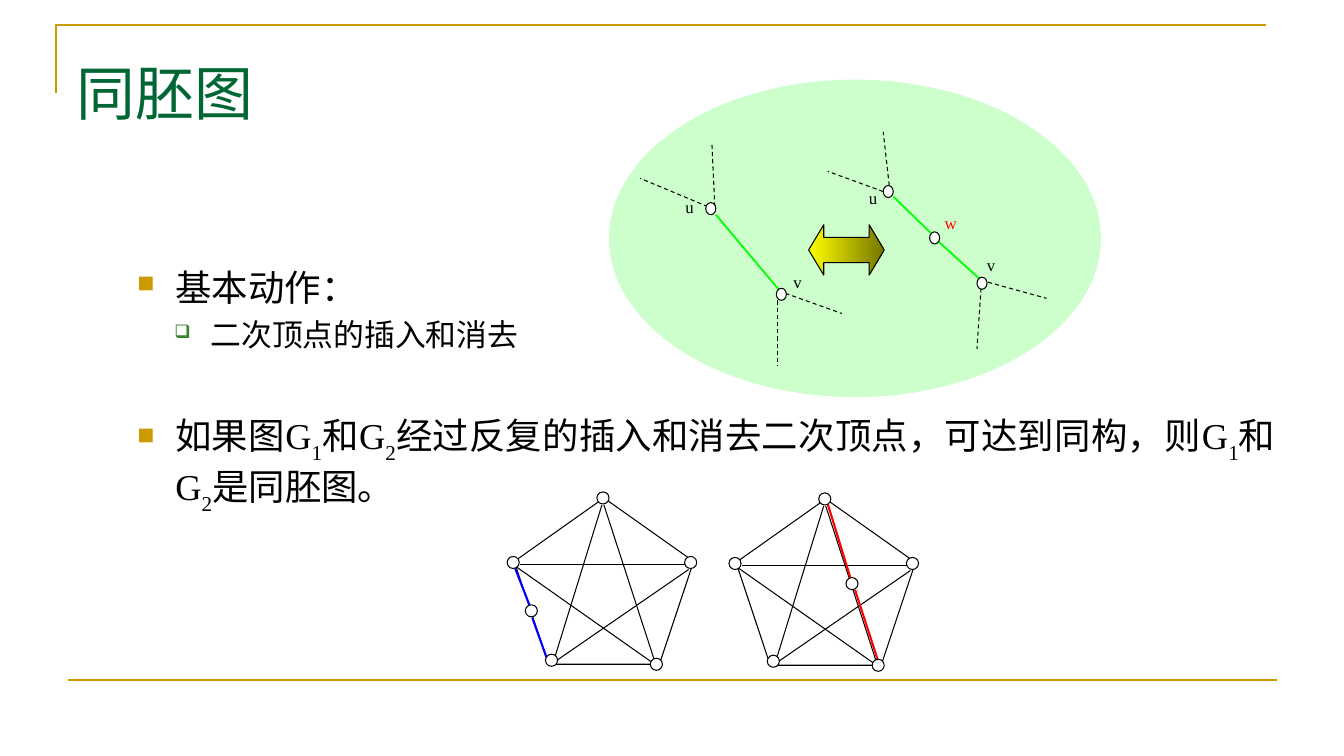
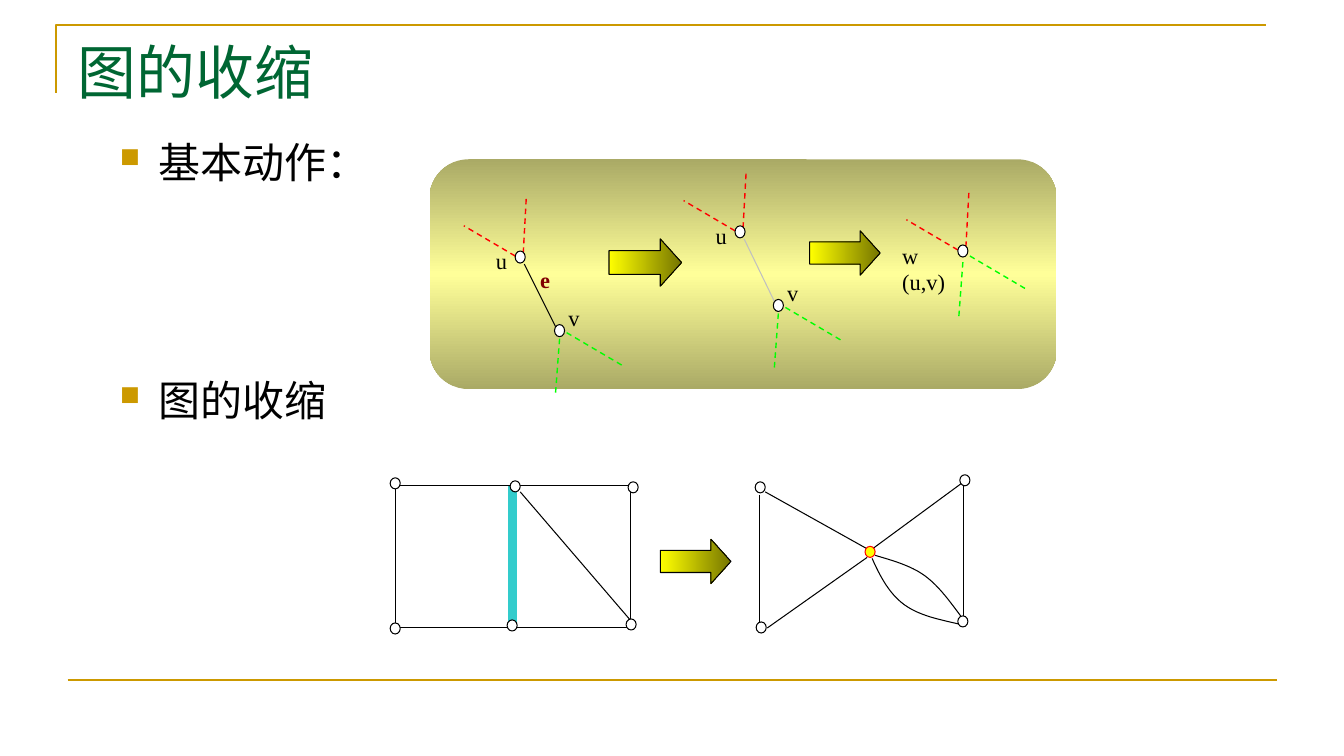
from copy import deepcopy
from lxml.etree import SubElement
from pptx import Presentation
from pptx.dml.color import RGBColor
from pptx.enum.dml import MSO_LINE
from pptx.enum.shapes import MSO_CONNECTOR, MSO_SHAPE
from pptx.enum.text import MSO_ANCHOR, MSO_AUTO_SIZE, PP_ALIGN
from pptx.oxml.ns import qn
from pptx.util import Inches, Pt

FONT = "Times New Roman"
COLORS = {
    "title": "006633", "gold": "CC9900", "subbullet": "3B812F",
    "black": "000000", "white": "FFFFFF", "mint": "CCFFCC",
    "green": "00FF00", "red": "FF0000", "blue": "0000FF",
    "yellow": "FFFF00", "olive": "767600", "maroon": "800000",
    "silver": "C0C0C0", "teal": "33CCCC", "khaki": "AAAA66", "cream": "FFFF99",
}
RGB = {name: RGBColor.from_string(value) for name, value in COLORS.items()}
ARROW_FILL = ("yellow", "olive")


def draw_shape(shapes, preset, box, fills=("white",), outline="black", adjustments=()):
    """Add a preset shape; several fills make an evenly spaced gradient."""
    shape = shapes.add_shape(preset, *map(Inches, box))
    shape.shadow.inherit = False
    for index, value in enumerate(adjustments):
        shape.adjustments[index] = value
    if len(fills) == 1:
        shape.fill.solid()
        shape.fill.fore_color.rgb = RGB[fills[0]]
    else:
        shape.fill.gradient()
        shape.fill.gradient_angle = 0 if len(fills) == 2 else 90
        stop_list = shape.element.xpath(".//a:gsLst")[0]
        while len(stop_list) < len(fills):
            stop_list.append(deepcopy(stop_list[0]))
        for index, (stop, fill) in enumerate(zip(shape.fill.gradient_stops, fills)):
            stop.position = index / (len(fills) - 1)
            stop.color.rgb = RGB[fill]
    if outline:
        shape.line.color.rgb = RGB[outline]
        shape.line.width = Pt(0.75)
    else:
        shape.line.fill.background()
    return shape


def draw_edge(shapes, ends, color="black", width=0.75, dashed=False):
    edge = shapes.add_connector(MSO_CONNECTOR.STRAIGHT, *map(Inches, ends))
    edge.line.color.rgb = RGB[color]
    edge.line.width = Pt(width)
    if dashed:
        edge.line.dash_style = MSO_LINE.DASH
    SubElement(edge.element.spPr, qn("a:effectLst"))
    return edge


prs = Presentation()
prs.slide_width, prs.slide_height = Inches(13.33), Inches(7.5)
layout = prs.slide_layouts[1]

# Titles and lists: paragraphs are (level, size, space before, text); _ marks a subscript
PAGES = [
    {"title": "同胚图", "title_box": (0.66, 0.51, 8.67, 1.25),
     "list_box": (1.26, 2.58, 11.49, 4.65), "align": PP_ALIGN.JUSTIFY,
     "items": [(0, 26, 0, "基本动作："),
               (1, 22, 5, "二次顶点的插入和消去"),
               (0, 26, 43, "如果图G_1_和G_2_经过反复的插入和消去二次顶点，"
                           "可达到同构，则G_1_和G_2_是同胚图。")]},
    {"title": "图的收缩", "title_box": (0.67, 0.3, 12, 1.25),
     "list_box": (1.09, 1.3, 8.41, 4.07), "align": PP_ALIGN.LEFT,
     "items": [(0, 30, 0, "基本动作："), (0, 30, 134, "图的收缩")]},
]
BULLETS = [  # colour, size in 1/1000 %, Wingdings character, margin, hang
    ("gold", "65000", "n", 0.38, 0.38),
    ("subbullet", "60000", "q", 0.73, 0.36),
]
slides = []
for page in PAGES:
    slide = prs.slides.add_slide(layout)
    slides.append(slide)
    title, body = slide.shapes.title, slide.placeholders[1]
    for holder, box in ((title, page["title_box"]), (body, page["list_box"])):
        holder.left, holder.top, holder.width, holder.height = map(Inches, box)
        frame_format = {"word_wrap": True, "vertical_anchor": MSO_ANCHOR.TOP,
                        "auto_size": MSO_AUTO_SIZE.NONE}
        for attribute, value in frame_format.items():
            setattr(holder.text_frame, attribute, value)

    title.text_frame.text = page["title"]
    heading = title.text_frame.paragraphs[0]
    heading.alignment = PP_ALIGN.LEFT
    heading.font.name, heading.font.size = FONT, Pt(42)
    heading.font.color.rgb = RGB["title"]

    for index, (level, size, gap, text) in enumerate(page["items"]):
        item = body.text_frame.add_paragraph() if index else body.text_frame.paragraphs[0]
        color, percent, mark, margin, hang = BULLETS[level]
        props = item._p.get_or_add_pPr()
        props.set("marL", str(Inches(margin)))
        props.set("indent", str(-Inches(hang)))
        bullet_color = SubElement(props, qn("a:buClr"))
        SubElement(bullet_color, qn("a:srgbClr"), val=COLORS[color])
        SubElement(props, qn("a:buSzPct"), val=percent)
        SubElement(props, qn("a:buFont"), typeface="Wingdings")
        SubElement(props, qn("a:buChar"), char=mark)
        for attribute, value in {"level": level, "alignment": page["align"],
                                 "space_before": Pt(gap)}.items():
            setattr(item, attribute, value)
        for part, piece in enumerate(text.split("_")):
            run = item.add_run()
            run.text = piece
            run.font.name, run.font.size = FONT, Pt(size)
            run.font.color.rgb = RGB["black"]
            if part % 2:
                run.font._element.set("baseline", "-30000")

# Gold frame, held by the layout
shapes = slides[0].shapes
corner_builder = shapes.build_freeform(Inches(0.56), Inches(0.92))
corner_builder.add_line_segments(
    [(Inches(0.56), Inches(0.25)), (Inches(12.56), Inches(0.25))], close=False)
corner = corner_builder.convert_to_shape()
corner.shadow.inherit = False
corner.fill.background()
corner.line.color.rgb = RGB["gold"]
corner.line.width = Pt(1.5)
base_rule = draw_edge(shapes, (0.67, 6.75, 12.67, 6.75), "gold", 1.5)
for shape_id, part in enumerate((corner, base_rule), start=21):
    part.element.xpath(".//p:cNvPr")[0].set("id", str(shape_id))
    layout.shapes.element.append(part.element)

# Slide 1: inserting and removing a vertex of degree two
draw_shape(shapes, MSO_SHAPE.OVAL, (6.04, 0.79, 4.88, 3.15), ("mint",), None)
for ends in ((7.1, 2.13, 7.73, 2.88), (8.86, 1.95, 9.23, 2.31), (9.3, 2.39, 9.73, 2.78)):
    draw_edge(shapes, ends, "green", 1.25)
for ends in ((7.02, 2.05, 6.35, 1.77), (7.09, 2.05, 7.06, 1.41),
             (7.71, 2.98, 7.71, 3.63), (7.79, 2.91, 8.35, 3.11),
             (8.76, 1.9, 8.21, 1.7), (8.82, 1.84, 8.76, 1.31),
             (9.73, 2.86, 9.69, 3.46), (9.8, 2.8, 10.38, 2.96)):
    draw_edge(shapes, ends, dashed=True)
for x, y in ((7, 2.01), (7.7, 2.86), (9.22, 2.3), (9.69, 2.75), (8.76, 1.84)):
    draw_shape(shapes, MSO_SHAPE.OVAL, (x, y, 0.1, 0.12))
draw_shape(shapes, MSO_SHAPE.LEFT_RIGHT_ARROW, (8.02, 2.23, 0.75, 0.5),
           ARROW_FILL, adjustments=(0.5, 0.3))

# Slide 1: two homeomorphic complete graphs, each with one subdivided edge
SUBDIVISIONS = [
    (0, 0, "blue", (5.21, 6), ((5.11, 5.64, 5.25, 6), (5.28, 6.13, 5.42, 6.52))),
    (2.2, 0.01, "red", (8.39, 5.73), ((8.21, 5, 8.44, 5.75), (8.48, 5.85, 8.71, 6.56))),
]
for dx, dy, color, middle, halves in SUBDIVISIONS:
    draw_shape(shapes, MSO_SHAPE.REGULAR_PENTAGON, (5.1 + dx, 4.94 + dy, 1.78, 1.65))
    for x1, y1, x2, y2 in ((5.97, 5.01, 5.5, 6.53), (5.16, 5.6, 6.8, 5.6),
                           (5.13, 5.63, 6.48, 6.58), (5.99, 5.01, 6.5, 6.58),
                           (5.51, 6.56, 6.83, 5.65)):
        draw_edge(shapes, (x1 + dx, y1 + dy, x2 + dx, y2 + dy))
    for ends in halves:
        draw_edge(shapes, ends, color, 1.5)
    corners = [(x + dx, y + dy) for x, y in (
        (5.92, 4.88), (5.03, 5.52), (6.79, 5.52), (5.41, 6.49), (6.45, 6.53))]
    for x, y in corners + [middle]:
        draw_shape(shapes, MSO_SHAPE.OVAL, (x, y, 0.12, 0.12))

# Slide 2: contracting the edge e in three stages
shapes = slides[1].shapes
draw_shape(shapes, MSO_SHAPE.ROUNDED_RECTANGLE, (4.26, 1.58, 6.22, 2.28),
           ("khaki", "cream", "khaki"), None, (0.17,))
contraction_labels = [("e", 5.26, 2.59, "maroon"), ("w\n(u,v)", 8.85, 2.37, "black")]
STAGES = [  # u, v, colour of the edge between them
    ((5.11, 2.49), (5.5, 3.22), "black"),
    ((7.29, 2.24), (7.67, 2.97), "silver"),
    ((9.5, 2.43), (9.5, 2.46), None),
]
for (ux, uy), (vx, vy), color in STAGES:
    for x, y, tone, rays in (
            (ux, uy, "red", ((0.08, 0.02, 0.11, -0.53), (0, 0.05, -0.51, -0.25))),
            (vx, vy, "green", ((0.05, 0.14, 0.01, 0.68), (0.12, 0.08, 0.68, 0.41)))):
        for x1, y1, x2, y2 in rays:
            draw_edge(shapes, (x + x1, y + y1, x + x2, y + y2), tone, 1, True)
    if color:
        draw_edge(shapes, (ux + 0.09, uy + 0.13, vx + 0.02, vy + 0.04), color)
        draw_shape(shapes, MSO_SHAPE.OVAL, (vx, vy, 0.1, 0.12))
        contraction_labels += [("u", ux - 0.29, uy - 0.09, "black"),
                               ("v", vx + 0.04, vy - 0.25, "black")]
    draw_shape(shapes, MSO_SHAPE.OVAL, (ux, uy, 0.1, 0.12))
for box in ((6.04, 2.37, 0.72, 0.47), (8.03, 2.29, 0.7, 0.44), (6.55, 5.35, 0.7, 0.44)):
    draw_shape(shapes, MSO_SHAPE.RIGHT_ARROW, box, ARROW_FILL, adjustments=(0.5, 0.45))

# Slide 2: a graph and its contraction
grid = draw_shape(shapes, MSO_SHAPE.RECTANGLE, (3.92, 4.82, 2.33, 1.41))
contracted_edge = draw_edge(shapes, (5.09, 4.82, 5.09, 6.23), "teal", 6)
contracted_edge.begin_connect(grid, 0)
contracted_edge.end_connect(grid, 2)
for ends in ((5.16, 4.88, 6.25, 6.15), (7.53, 4.91, 7.53, 6.18),
             (7.59, 4.88, 8.61, 5.45), (7.61, 6.23, 8.6, 5.53),
             (8.66, 5.44, 9.53, 4.8), (9.56, 4.8, 9.56, 6.14)):
    draw_edge(shapes, ends)
PARALLEL_EDGES = [  # control points of two joined cubic curves
    ((8.68, 5.51), (8.85, 5.56), (9.03, 5.61), (9.17, 5.71),
     (9.32, 5.82), (9.43, 5.98), (9.55, 6.14)),
    ((8.65, 5.54), (8.73, 5.72), (8.82, 5.89), (8.97, 6),
     (9.12, 6.11), (9.33, 6.15), (9.55, 6.2)),
]
STEPS = 12
for controls in PARALLEL_EDGES:
    points = []
    for start in (0, 3):
        for step in range(1, STEPS + 1):
            t = step / STEPS
            weights = ((1 - t) ** 3, 3 * t * (1 - t) ** 2, 3 * t * t * (1 - t), t ** 3)
            points.append([Inches(sum(w * point[axis] for w, point in
                                      zip(weights, controls[start:start + 4])))
                           for axis in (0, 1)])
    curve_builder = shapes.build_freeform(*map(Inches, controls[0]))
    curve_builder.add_line_segments(points, close=False)
    curve = curve_builder.convert_to_shape()
    curve.shadow.inherit = False
    curve.fill.background()
    curve.line.color.rgb = RGB["black"]
    curve.line.width = Pt(0.75)
for x, y in ((3.87, 4.74), (3.87, 6.18), (5.06, 4.77), (5.03, 6.15), (6.23, 4.78),
             (6.21, 6.14), (7.49, 4.78), (7.5, 6.17), (9.52, 4.71), (9.5, 6.11)):
    draw_shape(shapes, MSO_SHAPE.OVAL, (x, y, 0.1, 0.11))
draw_shape(shapes, MSO_SHAPE.OVAL, (8.58, 5.42, 0.1, 0.11), ("yellow",), "red")

# Vertex and edge labels on both slides
insertion_labels = [("u", 8.52, 1.81, "black"), ("u", 6.7, 1.9, "black"),
                    ("v", 7.77, 2.65, "black"), ("v", 9.69, 2.48, "black"),
                    ("w", 9.27, 2.06, "red")]
for slide, size, labels in ((slides[0], 12, insertion_labels),
                            (slides[1], 16, contraction_labels)):
    for text, x, y, color in labels:
        label = slide.shapes.add_textbox(Inches(x), Inches(y), Inches(0.73), Inches(0.57))
        label.text_frame.word_wrap = True
        label.text_frame.text = text
        for line in label.text_frame.paragraphs:
            line.alignment = PP_ALIGN.JUSTIFY
            if "\n" in text:
                line.line_spacing = 0.96
            for attribute, value in {"name": FONT, "size": Pt(size),
                                     "bold": text == "e"}.items():
                setattr(line.font, attribute, value)
            line.font.color.rgb = RGB[color]

prs.save("out.pptx")
